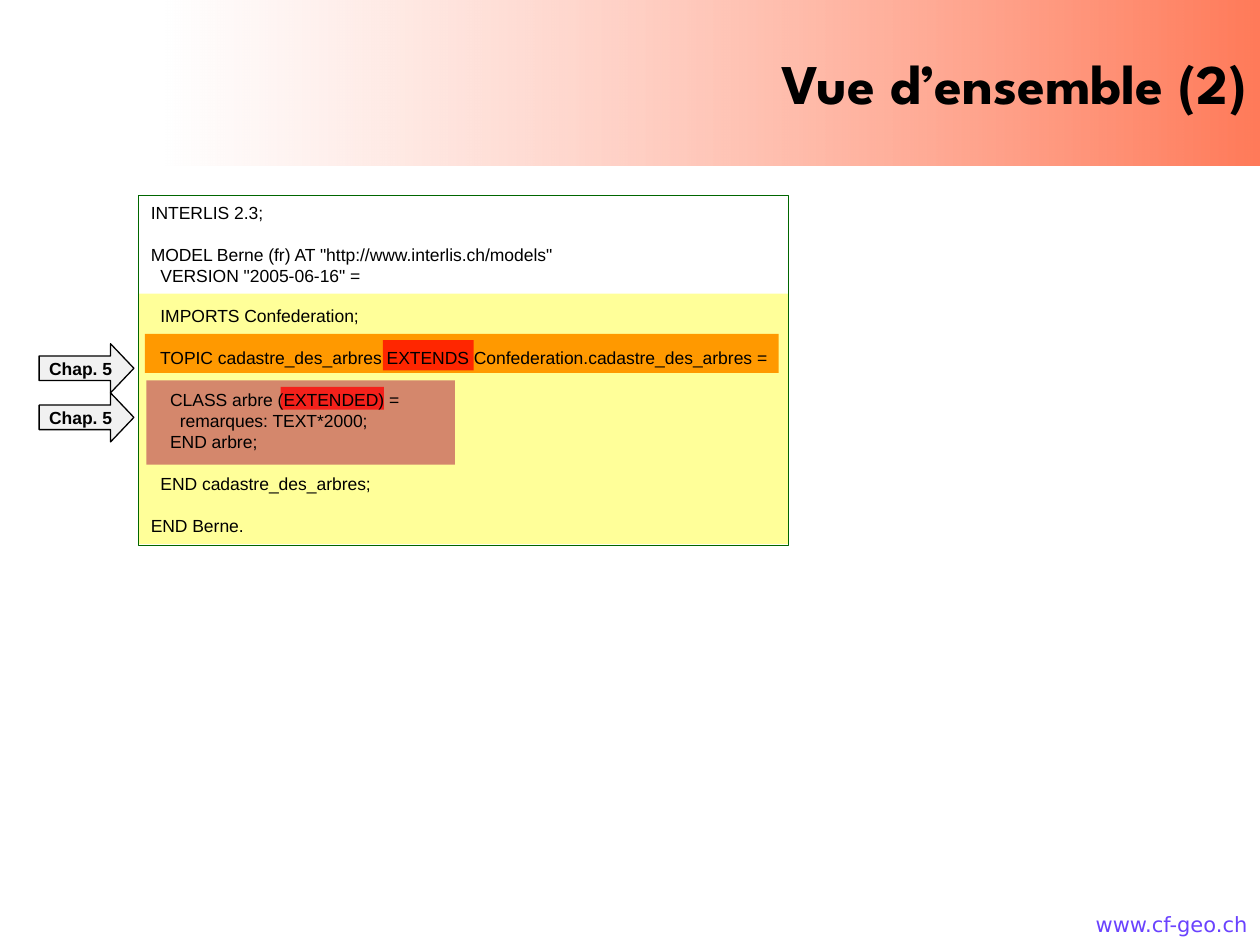
from dataclasses import dataclass

from lxml import etree
from pptx import Presentation
from pptx.dml.color import RGBColor
from pptx.enum.shapes import MSO_SHAPE
from pptx.enum.text import MSO_ANCHOR, PP_ALIGN
from pptx.oxml.ns import qn
from pptx.util import Cm, Pt

RECTANGLE = MSO_SHAPE.RECTANGLE
RIGHT_ARROW = MSO_SHAPE.RIGHT_ARROW
TOP, MIDDLE = MSO_ANCHOR.TOP, MSO_ANCHOR.MIDDLE
LEFT, CENTER, RIGHT = PP_ALIGN.LEFT, PP_ALIGN.CENTER, PP_ALIGN.RIGHT


@dataclass(frozen=True)
class Theme:
    title_font: str = "League Spartan"
    code_font: str = "Arial"
    address_font: str = "DejaVu Sans"
    title_size: int = 32
    code_size: int = 10
    address_size: int = 12
    ink: str = "000000"
    address: str = "6A42FE"
    banner_start: str = "FFFFFF"
    banner_end: str = "FF3300"
    model: str = "FFFF99"
    class_block: str = "D4876C"
    topic: str = "FF9900"
    keyword: str = "FF0000"
    frame: str = "006600"
    arrow: str = "F1F1F1"


THEME = Theme()

BLOCKS = [
    (2.79, 5.92, 13.11, 5.05, THEME.model, None),
    (2.95, 7.67, 6.22, 1.7, THEME.class_block, None),
    (2.92, 6.73, 12.78, 0.79, THEME.topic, None),
    (5.66, 7.8, 2.08, 0.46, THEME.keyword, 75),
    (7.72, 6.86, 1.83, 0.61, THEME.keyword, 75),
]

CODE_LINES = [
    ("INTERLIS 2.3;", 0),
    ('MODEL Berne (fr) AT "http://www.interlis.ch/models"', 12),
    ('  VERSION "2005-06-16" =', 0),
    ("  IMPORTS Confederation;", 11),
    ("  TOPIC cadastre_des_arbres EXTENDS Confederation.cadastre_des_arbres =", 12),
    ("    CLASS arbre (EXTENDED) =", 12),
    ("      remarques: TEXT*2000;", 0),
    ("    END arbre;", 0),
    ("  END cadastre_des_arbres;", 12),
    ("END Berne.", 12),
]


def set_opacity(color_element, percent):
    alpha = etree.SubElement(color_element, qn("a:alpha"))
    alpha.set("val", str(percent * 1000))


def add_span(para, text, font, size, color, bold=False):
    span = para.add_run()
    span.text = text
    span.font.name = font
    span.font.size = Pt(size)
    span.font.bold = bold
    span.font.color.rgb = RGBColor.from_string(color)


def add_box(shapes, kind, left, top, width, height, fill=None, line=None, opacity=None):
    box = shapes.add_shape(kind, Cm(left), Cm(top), Cm(width), Cm(height))
    box.shadow.inherit = False
    if fill:
        box.fill.solid()
        box.fill.fore_color.rgb = RGBColor.from_string(fill)
    else:
        box.fill.background()
    if opacity:
        set_opacity(box._element.spPr.find(qn("a:solidFill"))[0], opacity)
    if line:
        box.line.color.rgb = RGBColor.from_string(line)
        box.line.width = Pt(0.75)
    else:
        box.line.fill.background()
    return box


def add_title(page, text):
    title = page.shapes.title
    title.left, title.top, title.width, title.height = Cm(3.33), Cm(0), Cm(22.07), Cm(3.33)
    title.fill.gradient()
    title.fill.gradient_angle = 0
    stops = title.fill.gradient_stops
    colors = (THEME.banner_start, THEME.banner_end)
    for stop, position, color in zip(stops, (0, 1), colors):
        stop.position = position
        stop.color.rgb = RGBColor.from_string(color)
    for element, opacity in zip(title._element.spPr.iter(qn("a:srgbClr")), (46, 65)):
        set_opacity(element, opacity)
    frame = title.text_frame
    frame.vertical_anchor = MIDDLE
    para = frame.paragraphs[0]
    para.alignment = RIGHT
    add_span(para, text, THEME.title_font, THEME.title_size, THEME.ink, True)


def add_address(page, text):
    box = page.shapes.add_textbox(Cm(21.11), Cm(18.26), Cm(4.29), Cm(0.79))
    box.text_frame.word_wrap = True
    para = box.text_frame.paragraphs[0]
    para.alignment = RIGHT
    add_span(para, text, THEME.address_font, THEME.address_size, THEME.address)


def add_code(shapes):
    box = add_box(shapes, RECTANGLE, 2.79, 3.94, 13.11, 7.06, line=THEME.frame)
    frame = box.text_frame
    frame.word_wrap = True
    frame.vertical_anchor = TOP
    for index, (text, gap) in enumerate(CODE_LINES):
        para = frame.add_paragraph() if index else frame.paragraphs[0]
        para.alignment = LEFT
        if gap:
            para.space_before = Pt(gap)
        add_span(para, text, THEME.code_font, THEME.code_size, THEME.ink)


def add_chapter_arrow(shapes, top, text):
    arrow = add_box(shapes, RIGHT_ARROW, 0.79, top, 1.91, 0.99, THEME.arrow, THEME.ink)
    arrow.adjustments[0] = 0.5
    arrow.adjustments[1] = 0.475
    frame = arrow.text_frame
    frame.word_wrap = False
    frame.vertical_anchor = MIDDLE
    para = frame.paragraphs[0]
    para.alignment = CENTER
    add_span(para, text, THEME.code_font, THEME.code_size, THEME.ink, True)


def main():
    deck = Presentation()
    deck.slide_width, deck.slide_height = Cm(25.4), Cm(19.05)
    page = deck.slides.add_slide(deck.slide_layouts[5])
    add_address(page, "www.cf-geo.ch")
    add_title(page, "Vue d’ensemble (2)")
    diagram = page.shapes.add_group_shape().shapes
    for left, top, width, height, color, opacity in BLOCKS:
        add_box(diagram, RECTANGLE, left, top, width, height, color, opacity=opacity)
    add_code(diagram)
    for top in (6.93, 7.92):
        add_chapter_arrow(diagram, top, "Chap. 5")
    deck.save("out.pptx")


if __name__ == "__main__":
    main()
